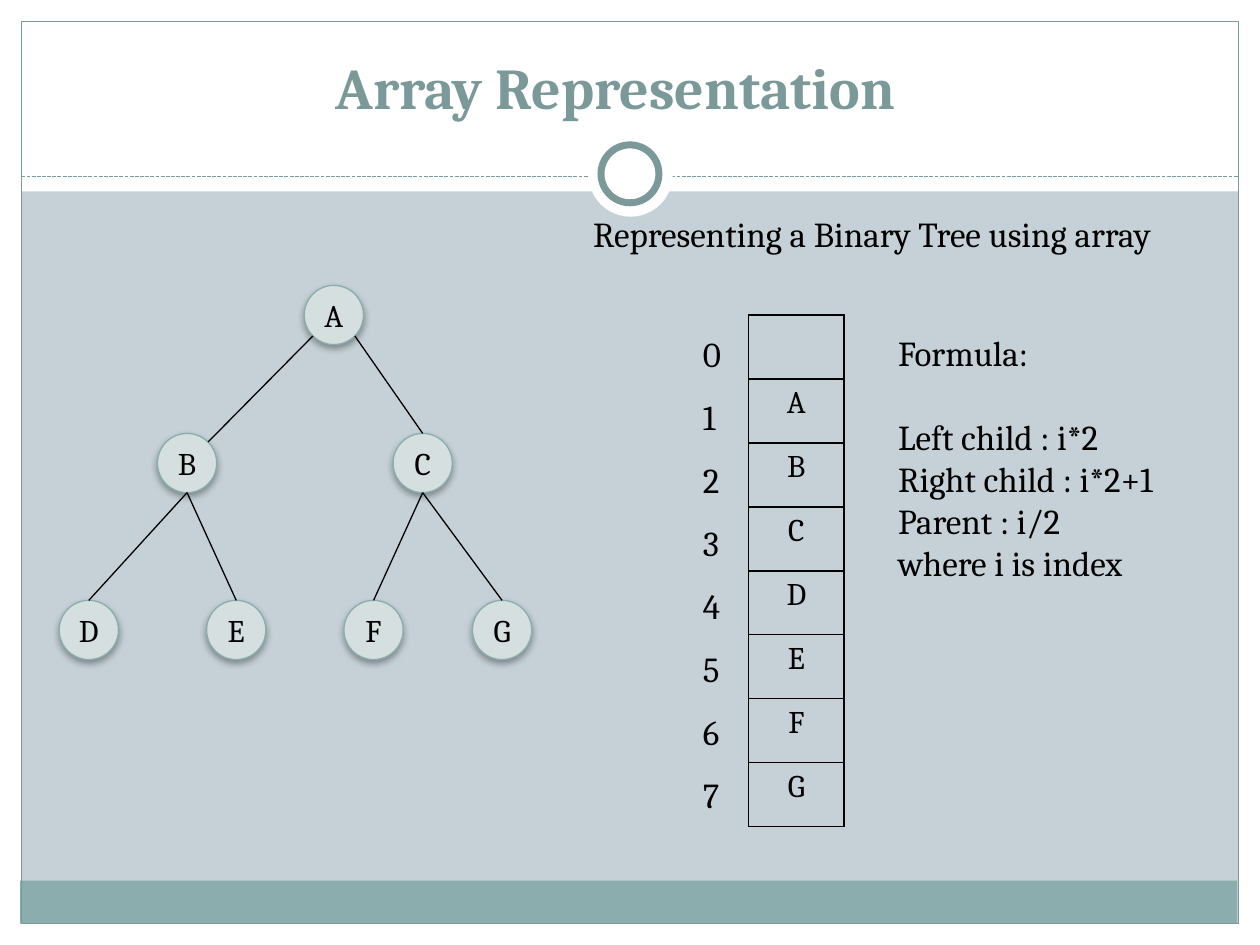
from lxml import etree
from pptx import Presentation
from pptx.dml.color import RGBColor
from pptx.enum.dml import MSO_LINE
from pptx.enum.shapes import MSO_CONNECTOR, MSO_SHAPE
from pptx.enum.text import MSO_ANCHOR, PP_ALIGN
from pptx.oxml import parse_xml
from pptx.oxml.ns import qn
from pptx.util import Inches, Pt

RECT, OVAL = MSO_SHAPE.RECTANGLE, MSO_SHAPE.OVAL
STRAIGHT, DASH = MSO_CONNECTOR.STRAIGHT, MSO_LINE.SQUARE_DOT
LEFT, CENTER = PP_ALIGN.LEFT, PP_ALIGN.CENTER
TOP, MIDDLE, BOTTOM = MSO_ANCHOR.TOP, MSO_ANCHOR.MIDDLE, MSO_ANCHOR.BOTTOM
WHITE, BLACK, TEAL, GRAY, PALE = "FFFFFF", "000000", "8CADAE", "7C999A", "D5DFDF"
NAMESPACE = "http://schemas.openxmlformats.org/drawingml/2006/main"
SHADOW = (f'<a:effectLst xmlns:a="{NAMESPACE}">'
          '<a:outerShdw blurRad="50800" dist="25400" dir="5400000" rotWithShape="0">'
          '<a:srgbClr val="000000"><a:alpha val="35000"/></a:srgbClr>'
          '</a:outerShdw></a:effectLst>')


def paint(target, color):
    if color is None:
        target.background()
    else:
        target.solid()
        target.fore_color.rgb = RGBColor.from_string(color)


def write(frame, lines, size=20, color=BLACK, bold=False, align=LEFT,
          anchor=TOP, spacing=1.0, gap_after_first=0, wrap=True):
    frame.word_wrap = wrap
    frame.vertical_anchor = anchor
    for index, line in enumerate(lines):
        para = frame.paragraphs[0] if index == 0 else frame.add_paragraph()
        para.alignment = align
        para.line_spacing = spacing
        if index == 1 and gap_after_first:
            para.space_before = Pt(gap_after_first)
        span = para.add_run()
        span.text = line
        span.font.name = "Cambria"
        span.font.size = Pt(size)
        span.font.bold = bold
        paint(span.font.fill, color)


deck = Presentation()
deck.slide_width, deck.slide_height = Inches(10), Inches(7.5)
column, row = deck.slide_width / 100, deck.slide_height / 75
grid = (column, row, column, row)
page = deck.slides.add_slide(deck.slide_layouts[6])
paint(page.background.fill, "C5D1D7")

backdrop = [
    (RECT, (0, 73.3, 100, 1.7), WHITE, None, 0),
    (RECT, (0, 0, 100, 15.2), WHITE, None, 0),
    (RECT, (0, 0, 1.7, 75), WHITE, None, 0),
    (RECT, (98.3, 0, 1.7, 75), WHITE, None, 0),
    (RECT, (1.6, 69.9, 96.6, 3.4), TEAL, None, 0),
    (RECT, (1.7, 1.7, 96.6, 71.6), None, GRAY, 0.75),
    (OVAL, (46.7, 10.5, 6.7, 6.7), WHITE, None, 0),
    (OVAL, (47.7, 11.5, 4.6, 4.6), WHITE, GRAY, 4),
]
tree = {"A": (26.5, 25), "B": (14.85, 36.75), "C": (33.55, 36.75),
        "D": (7.05, 50), "E": (18.75, 50), "F": (29.65, 50), "G": (39.85, 50)}
diameter = 4.7
circles = [(OVAL, (x - diameter / 2, y - diameter / 2, diameter, diameter), PALE, TEAL, 0.75)
           for x, y in tree.values()]
labels = [None] * len(backdrop) + list(tree)
nodes = {}
for (kind, area, fill, outline, width), label in zip(backdrop + circles, labels):
    shape = page.shapes.add_shape(kind, *[int(a * b) for a, b in zip(area, grid)])
    shape.shadow.inherit = False
    paint(shape.fill, fill)
    paint(shape.line.fill, outline)
    if outline:
        shape.line.width = Pt(width)
    if label:
        properties = shape.element.spPr
        properties.replace(properties.find(qn("a:effectLst")), parse_xml(SHADOW))
        frame = shape.text_frame
        frame.margin_left = frame.margin_right = frame.margin_top = frame.margin_bottom = 0
        write(frame, [label], size=18, align=CENTER, anchor=MIDDLE, wrap=False)
        nodes[label] = shape

radius = diameter / 2
diagonal = radius * 0.71
edges = [
    ("A", "B", (-diagonal, diagonal), (diagonal, -diagonal)),
    ("A", "C", (diagonal, diagonal), (0, -radius)),
] + [(parent, child, (0, radius), (0, -radius))
     for parent, child in ("BD", "BE", "CF", "CG")]
lines = [((1.7, 14), (98.3, 14), GRAY, None)]
for parent, child, leave, arrive in edges:
    start = [a + b for a, b in zip(tree[parent], leave)]
    finish = [a + b for a, b in zip(tree[child], arrive)]
    lines.append((start, finish, BLACK, child if arrive[0] == 0 else None))
for start, finish, color, child in lines:
    ends = [int(a * b) for a, b in zip((*start, *finish), grid)]
    line = page.shapes.add_connector(STRAIGHT, *ends)
    paint(line.line.fill, color)
    line.line.width = Pt(0.75)
    etree.SubElement(line.element.spPr, qn("a:effectLst"))
    if child:
        line.end_connect(nodes[child], 0)
    if color == GRAY:
        line.line.dash_style = DASH
        page.shapes._spTree.remove(line.element)
        page.shapes._spTree.insert(8, line.element)

table_area = [int(a * b) for a, b in zip((59.4, 25, 7.6, 40.6), grid)]
table = page.shapes.add_table(len(tree) + 1, 1, *table_area).table
table.first_row = table.horz_banding = False
for cell, label in zip(table.iter_cells(), ["", *tree]):
    paint(cell.fill, None)
    if label:
        write(cell.text_frame, [label], size=18, align=CENTER)
    properties = cell._tc.get_or_add_tcPr()
    for position, side in enumerate(("lnL", "lnR", "lnT", "lnB")):
        properties.insert(position, parse_xml(
            f'<a:{side} xmlns:a="{NAMESPACE}" w="12700"><a:solidFill>'
            f'<a:srgbClr val="{BLACK}"/></a:solidFill></a:{side}>'))

texts = [
    ((18, 3.1, 61.7, 7), ["Array Representation"],
     dict(size=33, color=GRAY, bold=True, align=CENTER, anchor=BOTTOM)),
    ((46.1, 16.4, 53.9, 4.4), ["Representing a Binary Tree using array"], {}),
    ((54.8, 24.2, 3.8, 45.8), [str(index) for index in range(len(tree) + 1)],
     dict(spacing=1.5)),
    ((70.3, 25.8, 29.7, 21.2),
     ["Formula:", "Left child : i*2", "Right child : i*2+1", "Parent : i/2", "where i is index"],
     dict(gap_after_first=24)),
]
for area, content, style in texts:
    box = page.shapes.add_textbox(*[int(a * b) for a, b in zip(area, grid)])
    write(box.text_frame, content, **style)

deck.save("out.pptx")
